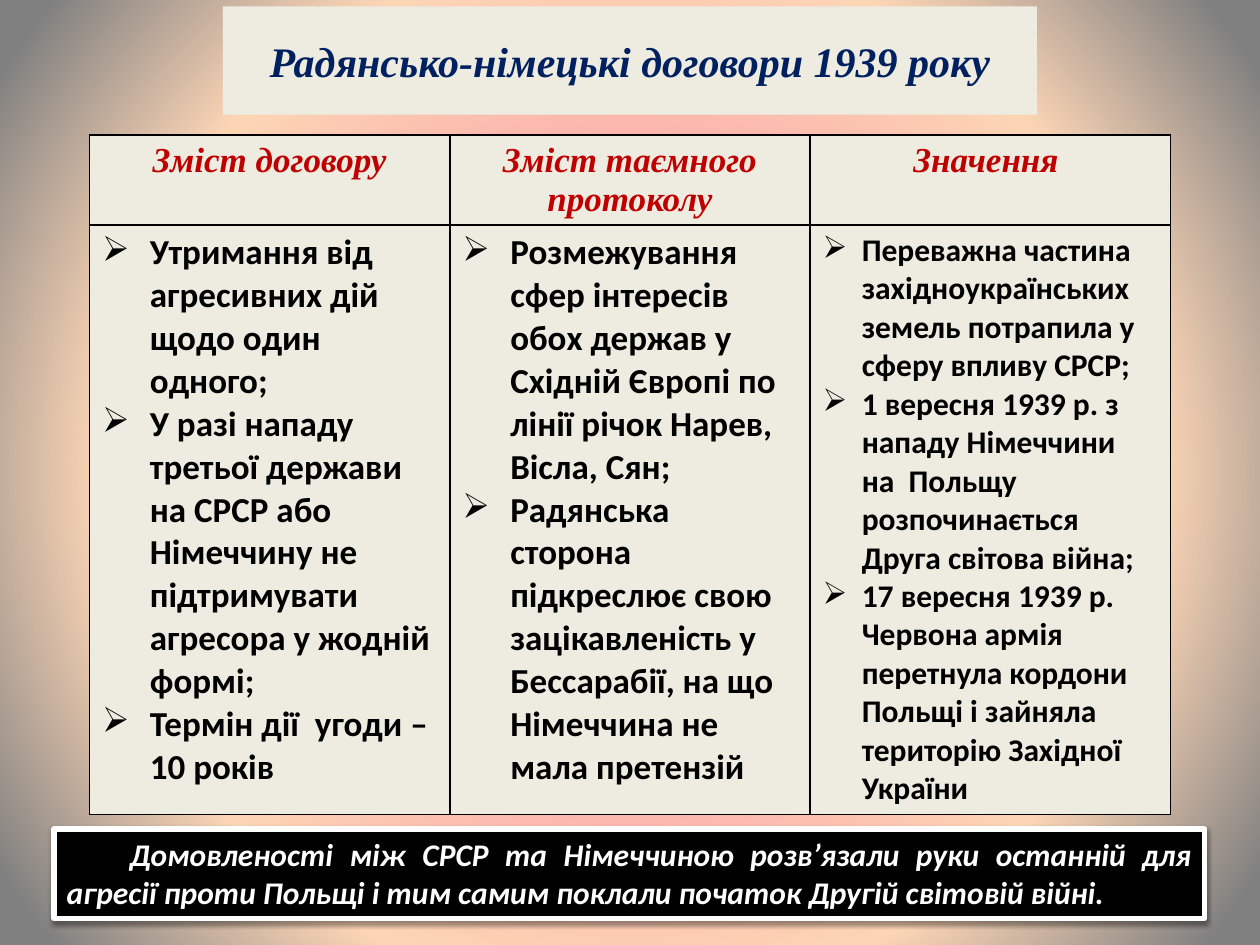
from pptx import Presentation
from pptx.dml.color import RGBColor as RGB
from pptx.enum.shapes import MSO_SHAPE as Kind
from pptx.enum.text import MSO_ANCHOR as Anchor, MSO_AUTO_SIZE as Auto, PP_ALIGN as Align
from pptx.oxml import parse_xml
from pptx.oxml.ns import nsdecls
from pptx.util import Inches, Pt

HUES = {"cream": "EEECE1", "navy": "002060", "red": "C00000",
        "black": "000000", "white": "FFFFFF",
        "pink": "FB93A4", "peach": "FCD5B5", "gray": "808080"}
SERIF, SANS = "Times New Roman", "Calibri"
HEADS = ["Зміст договору", "Зміст таємного протоколу", "Значення "]
LISTS = [
    (20, 0.38, ["Утримання від агресивних дій щодо один одного;",
                "У разі нападу третьої держави на СРСР або Німеччину не "
                "підтримувати агресора у жодній формі;",
                "Термін дії  угоди – 10 років"]),
    (20, 0.38, ["Розмежування сфер інтересів обох держав у Східній Європі "
                "по лінії річок Нарев, Вісла, Сян;",
                "Радянська сторона підкреслює свою зацікавленість у "
                "Бессарабії, на що Німеччина не мала претензій"]),
    (18, 0.31, ["Переважна частина західноукраїнських земель потрапила у "
                "сферу впливу СРСР;",
                "1 вересня 1939 р. з нападу Німеччини  на  Польщу "
                "розпочинається Друга світова війна;",
                "17 вересня 1939 р. Червона армія перетнула кордони Польщі "
                "і зайняла територію Західної України"]),
]
TITLE = "Радянсько-німецькі договори 1939 року"
NOTE = ("Домовленості між СРСР та Німеччиною розв’язали руки останній для "
        "агресії проти Польщі і тим самим поклали початок Другій світовій війні.")


def color(name):
    return RGB.from_string(HUES[name])


def node(xml):
    return parse_xml(f"<a:root {nsdecls('a', 'p')}>{xml}</a:root>")[0]


def paint(item, name):
    item.fill.solid()
    item.fill.fore_color.rgb = color(name)


def style(para, size, face, hue, align=Align.LEFT, italic=True):
    para.alignment = align
    for run in para.runs:
        font = run.font
        font.size, font.name = Pt(size), face
        font.bold, font.italic = True, italic
        font.color.rgb = color(hue)


def indent(para, left, first):
    props = para._p.get_or_add_pPr()
    props.set("marL", str(Inches(left)))
    props.set("indent", str(Inches(first)))
    return props


def backdrop(slide):
    stops = "".join(
        f'<a:gs pos="{pos}000"><a:srgbClr val="{HUES[hue]}">'
        f'<a:alpha val="{alpha}000"/></a:srgbClr></a:gs>'
        for pos, hue, alpha in [(15, "pink", 100), (67, "peach", 60), (95, "gray", 53)])
    slide.element.cSld.insert(0, node(
        f'<p:bg><p:bgPr><a:gradFill rotWithShape="1"><a:gsLst>{stops}</a:gsLst>'
        '<a:path path="circle"><a:fillToRect l="50000" t="50000" r="50000" b="50000"/>'
        '</a:path></a:gradFill><a:effectLst/></p:bgPr></p:bg>'))


def frame(cell):
    props = cell._tc.get_or_add_tcPr()
    for side in "LRTB":
        props.append(node(
            f'<a:ln{side} w="{Pt(1)}"><a:solidFill><a:srgbClr val="{HUES["black"]}"/>'
            f'</a:solidFill></a:ln{side}>'))
    paint(cell, "cream")


def bullets(cell, size, gap, lines):
    text = cell.text_frame
    text.text = "\n".join(lines)
    for para in text.paragraphs:
        indent(para, gap, -gap).append(node('<a:buChar char="➢"/>'))
        style(para, size, SANS, "black", italic=False)


def grid(slide):
    table = slide.shapes.add_table(
        2, 3, Inches(0.71), Inches(1.07), Inches(8.58), Inches(5.37)).table
    table.horz_banding = False
    for row, high in zip(table.rows, (0.7, 4.67)):
        row.height = Inches(high)
    for col, (head, body) in enumerate(zip(HEADS, LISTS)):
        top, low = table.cell(0, col), table.cell(1, col)
        frame(top)
        frame(low)
        top.text_frame.text = head
        style(top.text_frame.paragraphs[0], 20, SERIF, "red", Align.CENTER)
        bullets(low, *body)


def box(slide, place, fill, words, anchor):
    shape = slide.shapes.add_shape(Kind.RECTANGLE, *map(Inches, place))
    shape.shadow.inherit = False
    paint(shape, fill)
    shape.line.fill.background()
    text = shape.text_frame
    text.word_wrap = True
    text.vertical_anchor = anchor
    text.text = words
    return shape, text.paragraphs[0]


def banner(slide):
    shape, para = box(slide, (1.77, 0.05, 6.46, 0.86), "cream", TITLE, Anchor.MIDDLE)
    style(para, 24, SERIF, "navy", Align.CENTER)


def footer(slide):
    shape, para = box(slide, (0.43, 6.58, 9.13, 0.71), "black", NOTE, Anchor.TOP)
    shape.text_frame.auto_size = Auto.SHAPE_TO_FIT_TEXT
    shape.line.color.rgb = color("white")
    shape.line.width = Pt(3)
    indent(para, 0, 0.5)
    style(para, 18, SANS, "white", Align.JUSTIFY)
    shape._element.spPr.find("{*}effectLst").append(node(
        f'<a:outerShdw blurRad="{Pt(3.1)}" dist="{Pt(1.6)}" dir="5400000" rotWithShape="0">'
        f'<a:srgbClr val="{HUES["black"]}"><a:alpha val="38000"/></a:srgbClr></a:outerShdw>'))


def main():
    deck = Presentation()
    deck.slide_width, deck.slide_height = Inches(10), Inches(7.5)
    slide = deck.slides.add_slide(deck.slide_layouts[6])
    backdrop(slide)
    grid(slide)
    banner(slide)
    footer(slide)
    deck.save("out.pptx")


if __name__ == "__main__":
    main()
